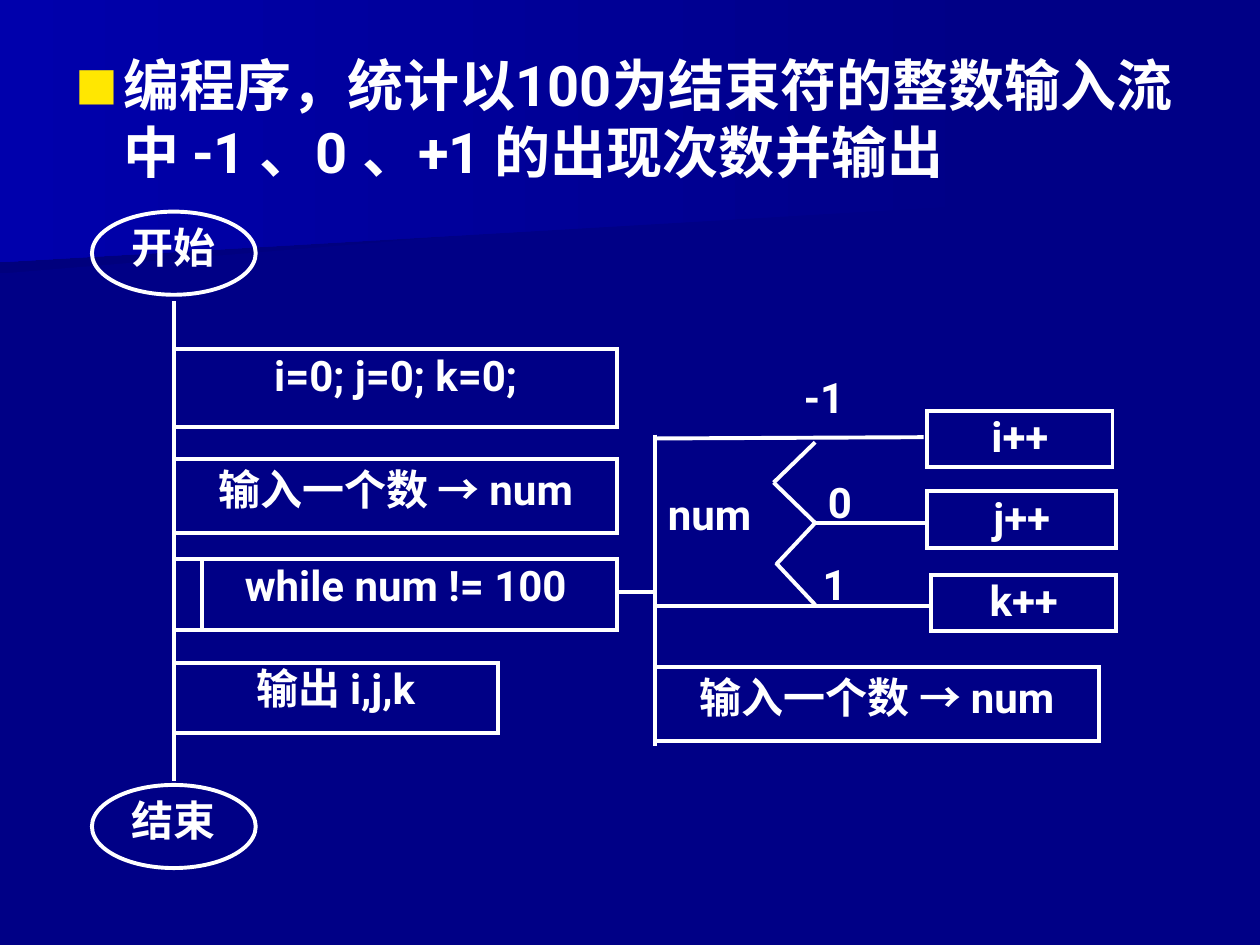
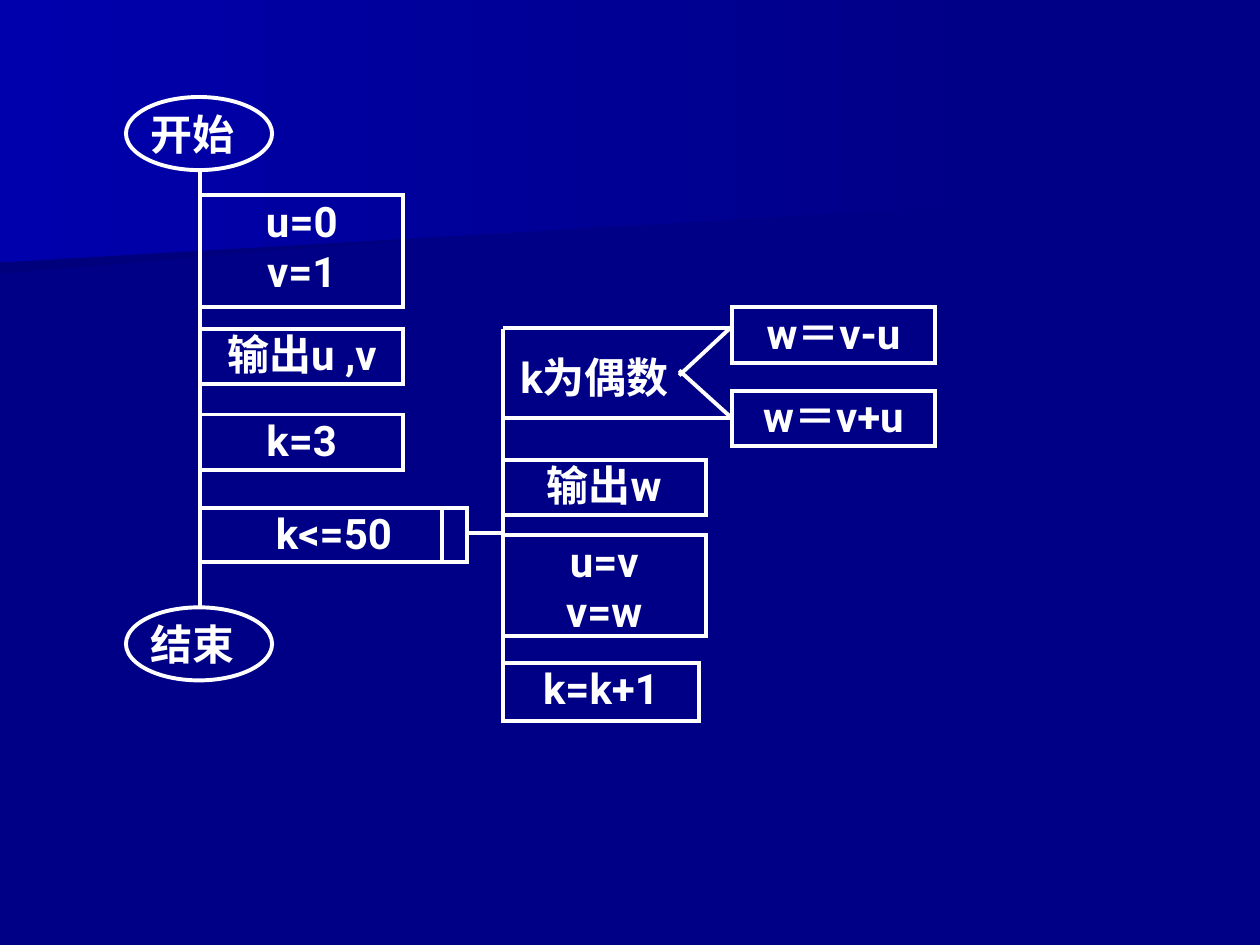
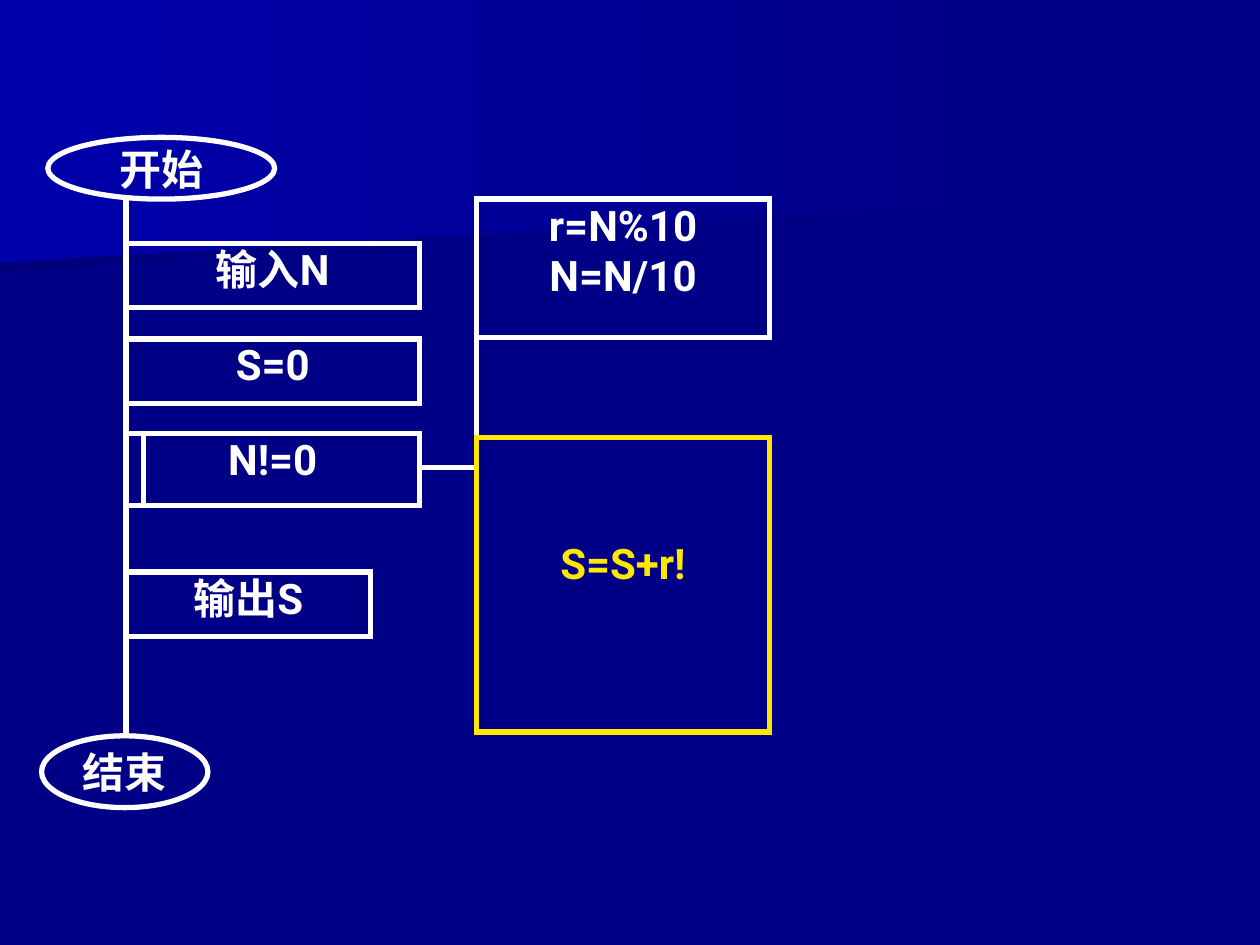
from lxml import etree
from pptx import Presentation
from pptx.dml.color import RGBColor
from pptx.enum.shapes import MSO_CONNECTOR, MSO_SHAPE
from pptx.enum.text import MSO_ANCHOR, PP_ALIGN
from pptx.oxml.ns import qn
from pptx.util import Inches, Pt

# Shared look
NAVY = RGBColor(0x00, 0x00, 0x86)
DEEP_NAVY = RGBColor(0x00, 0x00, 0x7D)
BRIGHT_BLUE = RGBColor(0x00, 0x00, 0xAC)
WHITE = RGBColor(0xFF, 0xFF, 0xFF)
YELLOW = RGBColor(0xFF, 0xE7, 0x01)
FONT = "Roboto"
TEXT_SIZE, TITLE_SIZE = 24, 32
CENTER, LEFT = PP_ALIGN.CENTER, PP_ALIGN.LEFT
TOP, MIDDLE = MSO_ANCHOR.TOP, MSO_ANCHOR.MIDDLE
RECTANGLE, OVAL = MSO_SHAPE.RECTANGLE, MSO_SHAPE.OVAL
STRAIGHT = MSO_CONNECTOR.STRAIGHT

# Background bands: outline points and the colour at the left end
BANDS = [
    ([(7.78, 1.53), (0, 2.17), (0, 1.01), (7.79, 1.01), (7.78, 1.28)], DEEP_NAVY),
    ([(7.92, 1.62), (0, 2.08), (0, 0), (7.92, 0)], BRIGHT_BLUE),
]

# Each column: left edge, spine (top, bottom) or None, then its steps as
# (text, top, width, height, optional style)
# Insets are (left, top, right, bottom); lines are (x1, y1, x2, y2)
# Labels are (text, left, top, width, height, alignment)
READ_NUM = "输入一个数 → num"
LOWERED = {"insets": (0, 0.04, 0, 0)}

COUNT_CHART = {
    "title": "编程序，统计以100为结束符的整数输入流中 -1 、0 、+1 的出现次数并输出",
    "weight": 2.25,
    "terminals": [("开始", 0.73, 1.68, 1.3, 0.66), ("结束", 0.73, 6.23, 1.3, 0.66)],
    "terminal_insets": (0, 0, 0, 0.11),
    "columns": [
        (1.38, (2.39, 6.2), [
            ("i=0; j=0; k=0;", 2.77, 3.52, 0.62),
            (READ_NUM, 3.64, 3.52, 0.59, LOWERED),
            ("while num != 100", 4.44, 3.52, 0.56, {"insets": (0.16, 0, 0, 0)}),
            ("输出 i,j,k", 5.26, 2.57, 0.56),
        ]),
        (5.2, (3.45, 5.92), [(READ_NUM, 5.29, 3.52, 0.59, LOWERED)]),
        (7.36, None, [("i++", 3.26, 1.47, 0.45), ("j++", 3.9, 1.5, 0.45)]),
        (7.39, None, [("k++", 4.56, 1.47, 0.45)]),
    ],
    "lines": [
        (1.6, 4.43, 1.6, 5.01), (4.9, 4.7, 5.19, 4.7),
        (7.33, 3.47, 5.2, 3.48), (7.35, 4.15, 6.45, 4.15), (7.4, 4.81, 5.2, 4.81),
        (6.47, 3.51, 6.14, 3.83), (6.47, 4.15, 6.14, 3.83),
        (6.47, 4.15, 6.16, 4.48), (6.47, 4.8, 6.16, 4.47),
    ],
    "labels": [
        ("num", 5.3, 3.88, 0.88, 0.49, LEFT), ("-1", 6.38, 2.95, 0.8, 0.42, LEFT),
        ("0", 6.57, 3.78, 0.6, 0.36, LEFT), ("1", 6.53, 4.43, 0.7, 0.42, LEFT),
    ],
}

SEQUENCE_CHART = {
    "weight": 2.25,
    "terminals": [("开始", 1, 0.77, 1.16, 0.58), ("结束", 1, 4.82, 1.16, 0.58)],
    "terminal_insets": (0, 0, 0.11, 0),
    "columns": [
        (1.59, (1.34, 4.83), [
            ("u=0\nv=1", 1.55, 1.61, 0.89),
            ("输出u ,v", 2.61, 1.61, 0.44),
            ("k=3", 3.29, 1.61, 0.44),
            ("k<=50", 4.03, 2.12, 0.43),
        ]),
        (3.99, (2.61, 5.72), [
            ("输出w", 3.65, 1.61, 0.44),
            ("u=v\nv=w", 4.25, 1.61, 0.8),
            ("k=k+1", 5.26, 1.56, 0.46),
        ]),
        (5.81, None, [("w＝v-u", 2.44, 1.61, 0.44), ("w＝v+u", 3.1, 1.61, 0.44)]),
    ],
    "lines": [
        (3.51, 4.03, 3.51, 4.46), (3.7, 4.23, 3.99, 4.23),
        (3.99, 2.6, 5.81, 2.6), (3.99, 3.32, 5.81, 3.32),
        (5.81, 2.59, 5.39, 2.98), (5.81, 3.32, 5.39, 2.94),
    ],
    "labels": [("k为偶数", 3.9, 2.79, 1.64, 0.41, CENTER)],
}

FACTORIAL_CHART = {
    "weight": 3,
    "terminals": [("开始", 0.38, 1.09, 1.8, 0.49), ("结束", 0.33, 5.84, 1.32, 0.57)],
    "terminal_insets": (0, 0, 0, 0),
    "columns": [
        (1, (1.58, 5.84), [
            ("输入N", 1.93, 2.33, 0.51),
            ("S=0", 2.69, 2.33, 0.51),
            ("N!=0", 3.44, 2.33, 0.57),
            ("输出S", 4.54, 1.94, 0.51),
        ]),
        (3.78, (1.58, 5.81), [
            ("r=N%10\nN=N/10", 1.58, 2.33, 1.1),
            ("S=S+r!", 3.47, 2.33, 2.34, {"color": YELLOW, "insets": (0, 0.8, 0, 0)}),
        ]),
    ],
    "lines": [(1.14, 3.44, 1.14, 4.01), (3.33, 3.71, 3.77, 3.71)],
    "labels": [],
}


def add_bullet(para):
    # Yellow square with a hanging indent
    props = para._p.get_or_add_pPr()
    props.set("marL", str(Inches(0.38)))
    props.set("indent", str(Inches(-0.38)))
    color = etree.SubElement(props, qn("a:buClr"))
    etree.SubElement(color, qn("a:srgbClr"), val=str(YELLOW))
    etree.SubElement(props, qn("a:buSzPct"), val="80000")
    etree.SubElement(props, qn("a:buFont"), typeface=FONT)
    etree.SubElement(props, qn("a:buChar"), char="■")


def write(shape, text, align, size=TEXT_SIZE, color=WHITE, anchor=TOP, wrap=True,
          insets=(0, 0, 0, 0), bullet=False):
    frame = shape.text_frame
    frame.text = text
    frame.word_wrap = wrap
    frame.vertical_anchor = anchor
    (frame.margin_left, frame.margin_top,
     frame.margin_right, frame.margin_bottom) = map(Inches, insets)
    for para in frame.paragraphs:
        if bullet:
            add_bullet(para)
        para.alignment = align
        para.font.name = FONT
        para.font.size = Pt(size)
        para.font.bold = True
        para.font.color.rgb = color


def add_bands(page):
    for points, left_color in BANDS:
        corners = [(Inches(x), Inches(y)) for x, y in points]
        builder = page.shapes.build_freeform(*corners[0])
        builder.add_line_segments(corners[1:], close=True)
        band = builder.convert_to_shape()
        band.shadow.inherit = False
        band.line.fill.background()
        band.fill.gradient()
        band.fill.gradient_angle = 180
        for stop, color in zip(band.fill.gradient_stops, (NAVY, left_color)):
            stop.color.rgb = color


def add_title(page, text):
    box = page.shapes.add_textbox(*map(Inches, (0.5, 0.35, 9, 1.33)))
    write(box, text, LEFT, TITLE_SIZE, insets=(0.1, 0.05, 0.1, 0.05), bullet=True)


def add_line(page, ends, weight):
    line = page.shapes.add_connector(STRAIGHT, *map(Inches, ends))
    line.line.color.rgb = WHITE
    line.line.width = Pt(weight)
    etree.SubElement(line._element.spPr, qn("a:effectLst"))


def add_node(page, kind, text, place, weight, color=WHITE, **style):
    node = page.shapes.add_shape(kind, *map(Inches, place))
    node.shadow.inherit = False
    node.fill.background()
    node.line.color.rgb = color
    node.line.width = Pt(weight)
    # Square corners
    outline = node._element.spPr.find(qn("a:ln"))
    etree.SubElement(outline, qn("a:miter"), lim="800000")
    write(node, text, CENTER, color=color, **style)


def add_flowchart(page, chart):
    weight = chart["weight"]
    # Spines and branches lie behind the boxes
    spines = [(left, spine[0], left, spine[1])
              for left, spine, _ in chart["columns"] if spine]
    for ends in spines + chart["lines"]:
        add_line(page, ends, weight)
    for text, *place in chart["terminals"]:
        add_node(page, OVAL, text, place, weight, anchor=MIDDLE, wrap=False,
                 insets=chart["terminal_insets"])
    for left, _, steps in chart["columns"]:
        for text, top, width, height, *style in steps:
            add_node(page, RECTANGLE, text, (left, top, width, height), weight,
                     **(style[0] if style else {}))
    for text, *place, align in chart["labels"]:
        write(page.shapes.add_textbox(*map(Inches, place)), text, align)


def main():
    deck = Presentation()
    deck.slide_width, deck.slide_height = Inches(10), Inches(7.5)
    background = deck.slide_master.background.fill
    background.solid()
    background.fore_color.rgb = NAVY
    for chart in (COUNT_CHART, SEQUENCE_CHART, FACTORIAL_CHART):
        page = deck.slides.add_slide(deck.slide_layouts[6])
        add_bands(page)
        if "title" in chart:
            add_title(page, chart["title"])
        add_flowchart(page, chart)
    deck.save("out.pptx")


if __name__ == "__main__":
    main()
